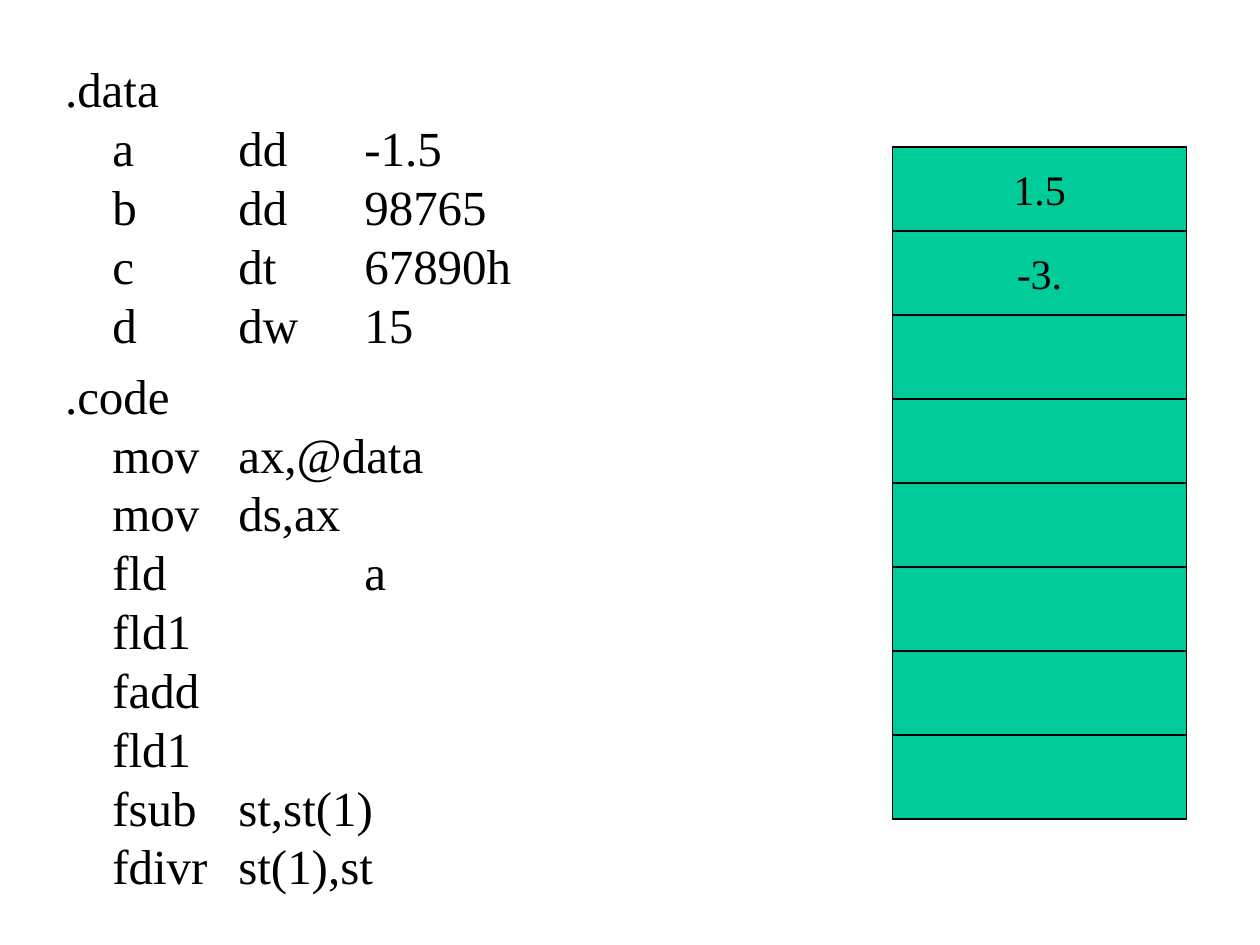
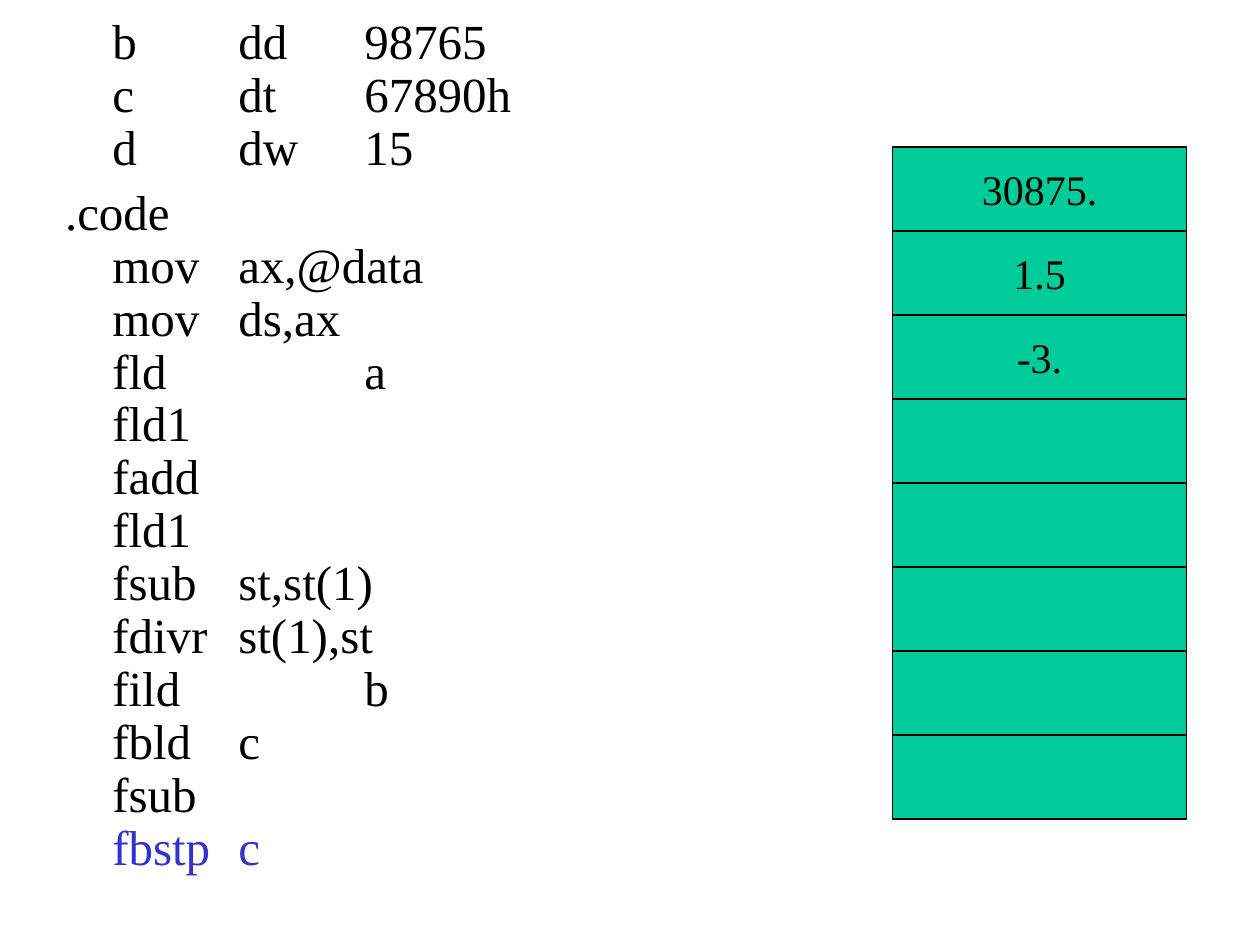
from pptx import Presentation
from pptx.dml.color import RGBColor
from pptx.enum.shapes import MSO_SHAPE
from pptx.enum.text import MSO_ANCHOR, MSO_AUTO_SIZE, PP_ALIGN
from pptx.oxml import parse_xml
from pptx.oxml.ns import nsdecls
from pptx.util import Inches, Pt

RECTANGLE = MSO_SHAPE.RECTANGLE
MIDDLE, TOP = MSO_ANCHOR.MIDDLE, MSO_ANCHOR.TOP
CENTER, FIXED_SIZE = PP_ALIGN.CENTER, MSO_AUTO_SIZE.NONE

FONT = "Times New Roman"
BLACK, GREEN, BLUE = "000000", "00CC99", "3333CC"
CODE_FONT = {"name": FONT, "size": Pt(28)}
VALUE_FONT = {"name": FONT, "size": Pt(24)}
REGISTERS = 8

deck = Presentation()
deck.slide_width, deck.slide_height = Inches(10), Inches(7.5)
GRID = deck.slide_width // 120  # 120 columns by 90 rows of square cells


def color(value):
    return RGBColor.from_string(value)


def format_font(font, values, shade):
    for name, value in values.items():
        setattr(font, name, value)
    font.color.rgb = color(shade)


# Code listing style: hanging indent, no bullets, a tab stop at every inch
tab_stops = "".join(f'<a:tab pos="{Inches(inch)}" algn="l"/>' for inch in range(8))
indent = Inches(0.375)
code_style = parse_xml(
    f'<a:lvl1pPr {nsdecls("a")} marL="{indent}" indent="-{indent}" algn="l">'
    f'<a:spcBef><a:spcPts val="700"/></a:spcBef><a:buNone/>'
    f'<a:tabLst>{tab_stops}</a:tabLst>'
    f'<a:defRPr sz="2800"><a:latin typeface="{FONT}"/></a:defRPr></a:lvl1pPr>'
)
old_style = deck.slide_master.element.xpath(".//p:bodyStyle/a:lvl1pPr")[0]
old_style.getparent().replace(old_style, code_style)

variables = "b\tdd\t98765\nc\tdt\t67890h\nd\tdw\t15"
division = (
    ".code\nmov\tax,@data\nmov\tds,ax\nfld\t\ta\nfld1\nfadd\nfld1\n"
    "fsub\tst,st(1)\nfdivr\tst(1),st"
)
pages = [
    {
        "top": 5, "rows": 82, "line_spacing": None,
        "code": [".data\na\tdd\t-1.5\n" + variables, division],
        "current": "",
        "stack": ["1.5", "-3."],
    },
    {
        "top": 1, "rows": 87, "line_spacing": 0.9,
        "code": ["\t" + variables, division + "\nfild\t\tb\nfbld\tc\nfsub\n"],
        "current": "fbstp\tc",
        "stack": ["30875.", "1.5", "-3."],
    },
]

for page in pages:
    slide = deck.slides.add_slide(deck.slide_layouts[1])
    title = slide.shapes.title.element
    title.getparent().remove(title)

    listing = slide.placeholders[1]
    listing.left, listing.top = 5 * GRID, page["top"] * GRID
    listing.width, listing.height = 54 * GRID, page["rows"] * GRID
    frame = listing.text_frame
    frame.auto_size, frame.vertical_anchor = FIXED_SIZE, TOP
    for number, code in enumerate(page["code"]):
        para = frame.add_paragraph() if number else frame.paragraphs[0]
        para.text = code
        para.line_spacing = page["line_spacing"]
        for span in para.runs:
            format_font(span.font, CODE_FONT, BLACK)
    if page["current"]:
        span = para.add_run()
        span.text = page["current"]
        format_font(span.font, CODE_FONT, BLUE)

    for row in range(REGISTERS):
        box = slide.shapes.add_shape(
            RECTANGLE, 85 * GRID, (14 + 8 * row) * GRID, 28 * GRID, 8 * GRID
        )
        box.shadow.inherit = False
        box.fill.solid()
        box.fill.fore_color.rgb = color(GREEN)
        box.line.color.rgb = color(BLACK)
        box.line.width = Pt(0.75)
        if row < len(page["stack"]):
            frame = box.text_frame
            frame.word_wrap, frame.vertical_anchor = False, MIDDLE
            para = frame.paragraphs[0]
            para.alignment = CENTER
            span = para.add_run()
            span.text = page["stack"][row]
            format_font(span.font, VALUE_FONT, BLACK)

deck.save("out.pptx")
